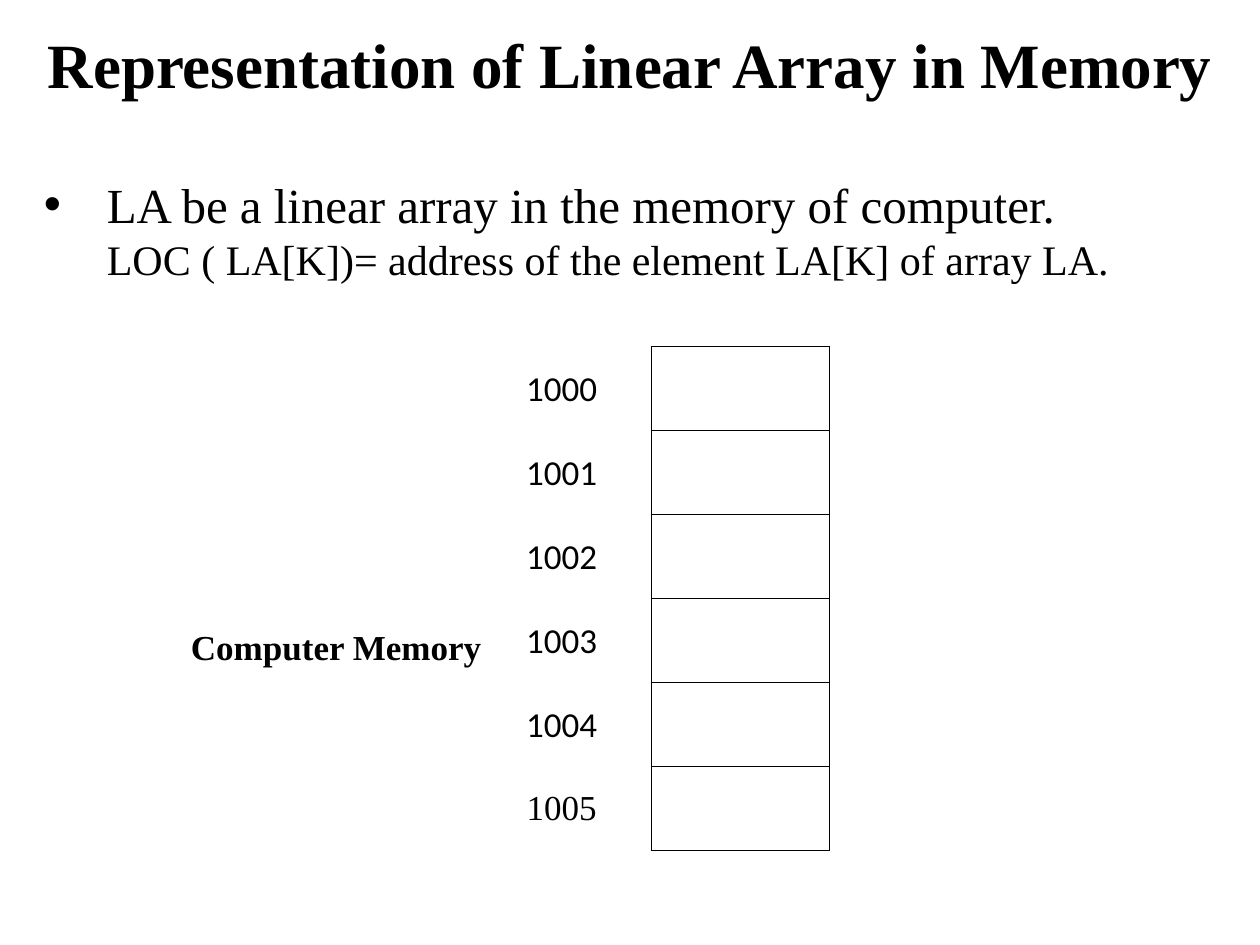
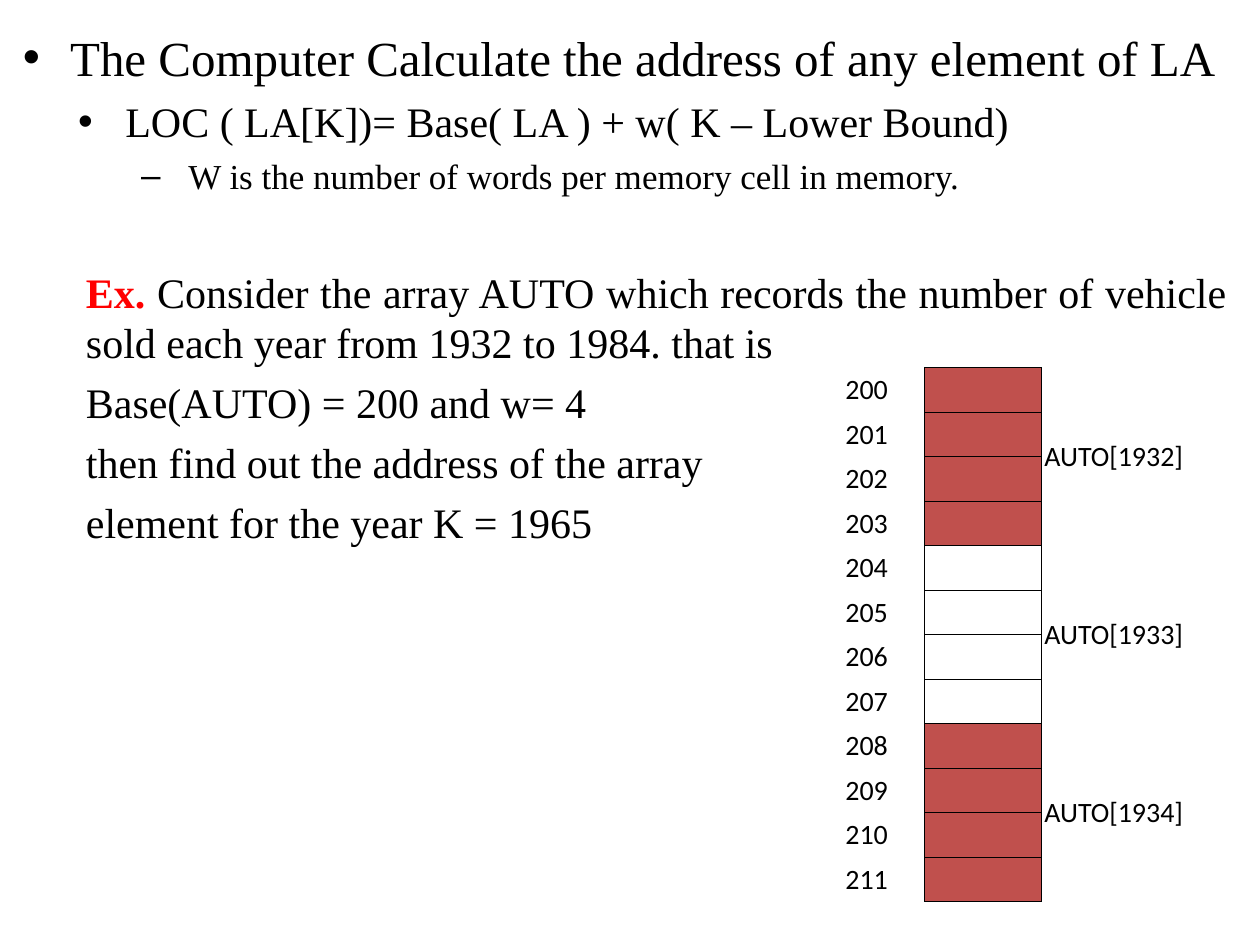
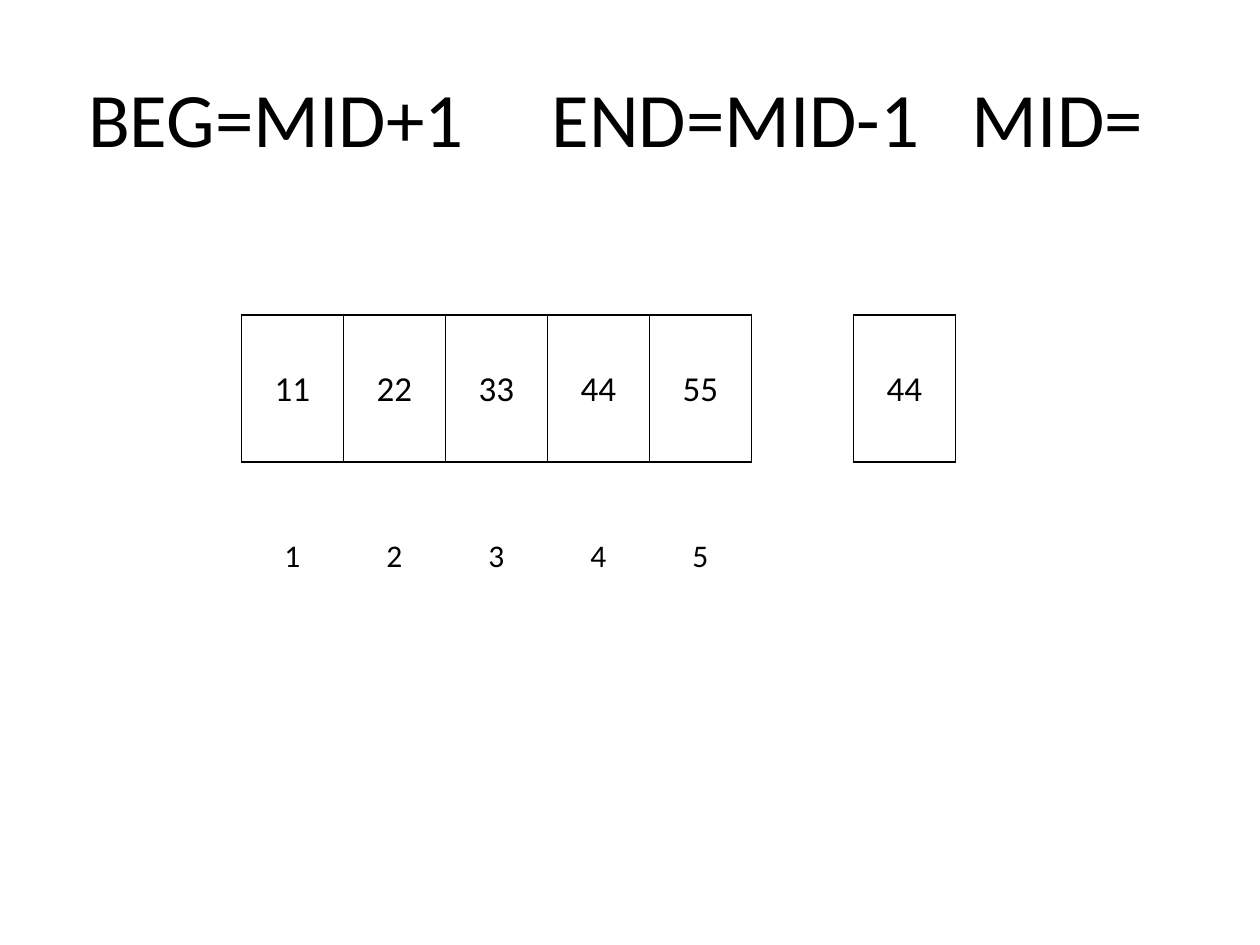
from lxml.etree import SubElement
from pptx import Presentation
from pptx.dml.color import RGBColor
from pptx.enum.text import MSO_ANCHOR, PP_ALIGN
from pptx.oxml.ns import qn
from pptx.util import Pt

SERIF = "Times New Roman"
SANS = "Calibri"
BLACK = "000000"
RED = "FF0000"
BRICK = "C0504D"
PLAIN_TABLE_STYLE = "{2D5ABB26-0587-4C30-8999-92F81FD0307C}"
ALL_SIDES = "LRTB"
SPACING_RATIO = 0.23


def color(hex_string):
    """Turn a hex string into a colour."""
    return RGBColor.from_string(hex_string)


def write_text(paragraph, text, size=20, font=SERIF, fill=BLACK, bold=False):
    """Append a formatted run to a paragraph."""
    run = paragraph.add_run()
    run.text = text
    run.font.size = Pt(size)
    run.font.name = font
    run.font.bold = bold
    run.font.color.rgb = color(fill)


def add_text_box(slide, left, top, width, height, anchor=MSO_ANCHOR.TOP, wrap=True):
    """Add a text box and return its text frame."""
    text_frame = slide.shapes.add_textbox(Pt(left), Pt(top), Pt(width), Pt(height)).text_frame
    text_frame.word_wrap = wrap
    text_frame.vertical_anchor = anchor
    return text_frame


def add_body_paragraph(text_frame, text, size=24, margin=36, hanging=0, bullet=None,
                       before=0, lead=""):
    """Add a justified paragraph with an optional bullet and red lead-in."""
    first = text_frame.paragraphs[0]
    paragraph = text_frame.add_paragraph() if first.runs else first
    paragraph.alignment = PP_ALIGN.JUSTIFY
    paragraph.space_before = Pt(before)
    properties = paragraph._p.get_or_add_pPr()
    properties.set("marL", str(Pt(margin)))
    properties.set("indent", str(Pt(-hanging)))
    if bullet:
        SubElement(properties, qn("a:buFont"), typeface="Arial")
        SubElement(properties, qn("a:buChar"), char=bullet)
    if lead:
        write_text(paragraph, lead, size=size, fill=RED, bold=True)
    write_text(paragraph, text, size=size)


def set_tab_stops(paragraph, positions):
    """Give a paragraph left tab stops."""
    tab_list = SubElement(paragraph._p.get_or_add_pPr(), qn("a:tabLst"))
    for position in positions:
        SubElement(tab_list, qn("a:tab"), pos=str(Pt(position)), algn="l")


def add_table(slide, left, top, widths, heights):
    """Add an unstyled table with transparent cells and thin margins."""
    frame = slide.shapes.add_table(len(heights), len(widths), Pt(left), Pt(top),
                                   Pt(sum(widths)), Pt(sum(heights)))
    table = frame.table
    table.first_row = table.horz_banding = False
    table._tbl.tblPr.find(qn("a:tableStyleId")).text = PLAIN_TABLE_STYLE
    for column, width in zip(table.columns, widths):
        column.width = Pt(width)
    for row, height in zip(table.rows, heights):
        row.height = Pt(height)
    for cell in table.iter_cells():
        cell.margin_left = cell.margin_right = cell.margin_top = Pt(0.75)
        cell.margin_bottom = Pt(0)
        cell.fill.background()
    return table


def write_cell(cell, text, **text_format):
    """Write centred text in a table cell."""
    cell.vertical_anchor = MSO_ANCHOR.MIDDLE
    paragraph = cell.text_frame.paragraphs[0]
    paragraph.alignment = PP_ALIGN.CENTER
    write_text(paragraph, text, **text_format)


def box_cell(cell, line_width, fill=None):
    """Outline a table cell on all sides and optionally fill it."""
    properties = cell._tc.get_or_add_tcPr()
    for index, side in enumerate(ALL_SIDES):
        line = properties.makeelement(qn(f"a:ln{side}"), {"w": str(Pt(line_width))})
        solid = SubElement(line, qn("a:solidFill"))
        SubElement(solid, qn("a:srgbClr"), val=BLACK)
        properties.insert(index, line)
    if fill:
        cell.fill.solid()
        cell.fill.fore_color.rgb = color(fill)


def build_memory_slide(slide):
    """Show a linear array in computer memory."""
    title = add_text_box(slide, 0, 0, 720, 72, anchor=MSO_ANCHOR.MIDDLE).paragraphs[0]
    title.alignment = PP_ALIGN.CENTER
    write_text(title, "Representation of Linear Array in Memory", size=36, bold=True)

    table = add_table(slide, 270, 198, [102] * 2, [48] * 6)
    for row in range(6):
        font = SERIF if row == 5 else SANS
        write_cell(table.cell(row, 0), str(1000 + row), font=font)
        box_cell(table.cell(row, 1), 0.5)

    body = add_text_box(slide, 18, 96, 690, 92)
    add_body_paragraph(body, "LA be a linear array in the memory of computer.",
                       size=28, hanging=36, bullet="•")
    add_body_paragraph(body, "LOC ( LA[K])= address of the element LA[K] of array LA.")
    caption = add_text_box(slide, 102, 354, 181, 32, wrap=False)
    write_text(caption.paragraphs[0], "Computer Memory", bold=True)


def build_address_slide(slide):
    """Explain the address formula with the AUTO example."""
    body = add_text_box(slide, 6, 12, 702, 516)
    bullets = (
        ("The Computer Calculate the address of any element of LA", 28, 27, "•"),
        ("LOC ( LA[K])= Base( LA ) + w( K – Lower Bound)", 24, 58.5, "•"),
        ("W is the number of words per memory cell in memory.", 20, 94.5, "–"),
    )
    for text, size, margin, bullet in bullets:
        add_body_paragraph(body, text, size=size, margin=margin, hanging=27,
                           bullet=bullet, before=size * SPACING_RATIO)
    add_body_paragraph(body, "Consider the array AUTO which records the number of vehicle "
                       "sold each year from 1932 to 1984. that is", before=40, lead="Ex. ")
    for text in ("Base(AUTO) = 200 and w= 4",
                 "then find out the address of the array",
                 "element for the year K = 1965"):
        add_body_paragraph(body, text, before=24 * SPACING_RATIO)

    words = 4
    table = add_table(slide, 462, 210, [66.5, 66.5, 83], [25.44] * 12)
    for row in range(12):
        element, word = divmod(row, words)
        write_cell(table.cell(row, 0), str(200 + row), size=16, font=SANS)
        box_cell(table.cell(row, 1), 0.5, fill=None if element % 2 else BRICK)
        if word == 0:
            label = table.cell(row, 2)
            label.merge(table.cell(row + words - 1, 2))
            write_cell(label, f"AUTO[{1932 + element}]", size=16, font=SANS)


def build_search_slide(slide):
    """Show the array and the value sought by binary search."""
    title_frame = add_text_box(slide, 36, 21.6, 648, 90, anchor=MSO_ANCHOR.MIDDLE)
    title_frame.margin_left = Pt(14.4)
    title = title_frame.paragraphs[0]
    set_tab_stops(title, (264.8, 505))
    write_text(title, "\t".join(("BEG=MID+1", "END=MID-1", "MID=")), size=44, font=SANS)

    table = add_table(slide, 138, 180, [408 / 7] * 7, [84, 26, 55])
    values = (11, 22, 33, 44, 55)
    for column, value in [*enumerate(values), (6, 44)]:
        write_cell(table.cell(0, column), str(value), font=SANS)
        box_cell(table.cell(0, column), 1)
    for column in range(len(values)):
        write_cell(table.cell(2, column), str(column + 1), size=18, font=SANS)


def main():
    """Build and save the presentation."""
    presentation = Presentation()
    presentation.slide_width = Pt(720)
    presentation.slide_height = Pt(540)
    for build in (build_memory_slide, build_address_slide, build_search_slide):
        build(presentation.slides.add_slide(presentation.slide_layouts[6]))
    presentation.save("out.pptx")


if __name__ == "__main__":
    main()
